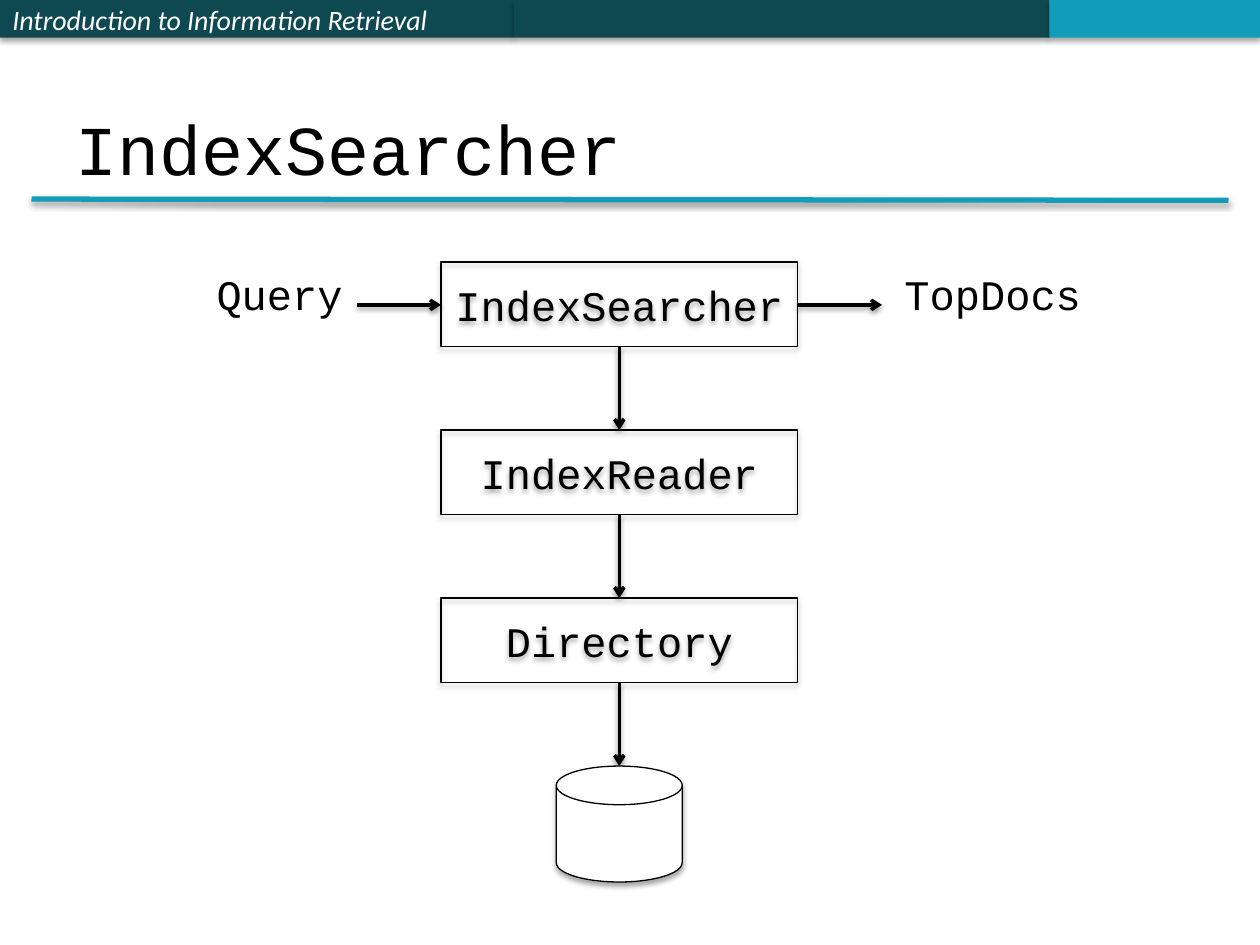
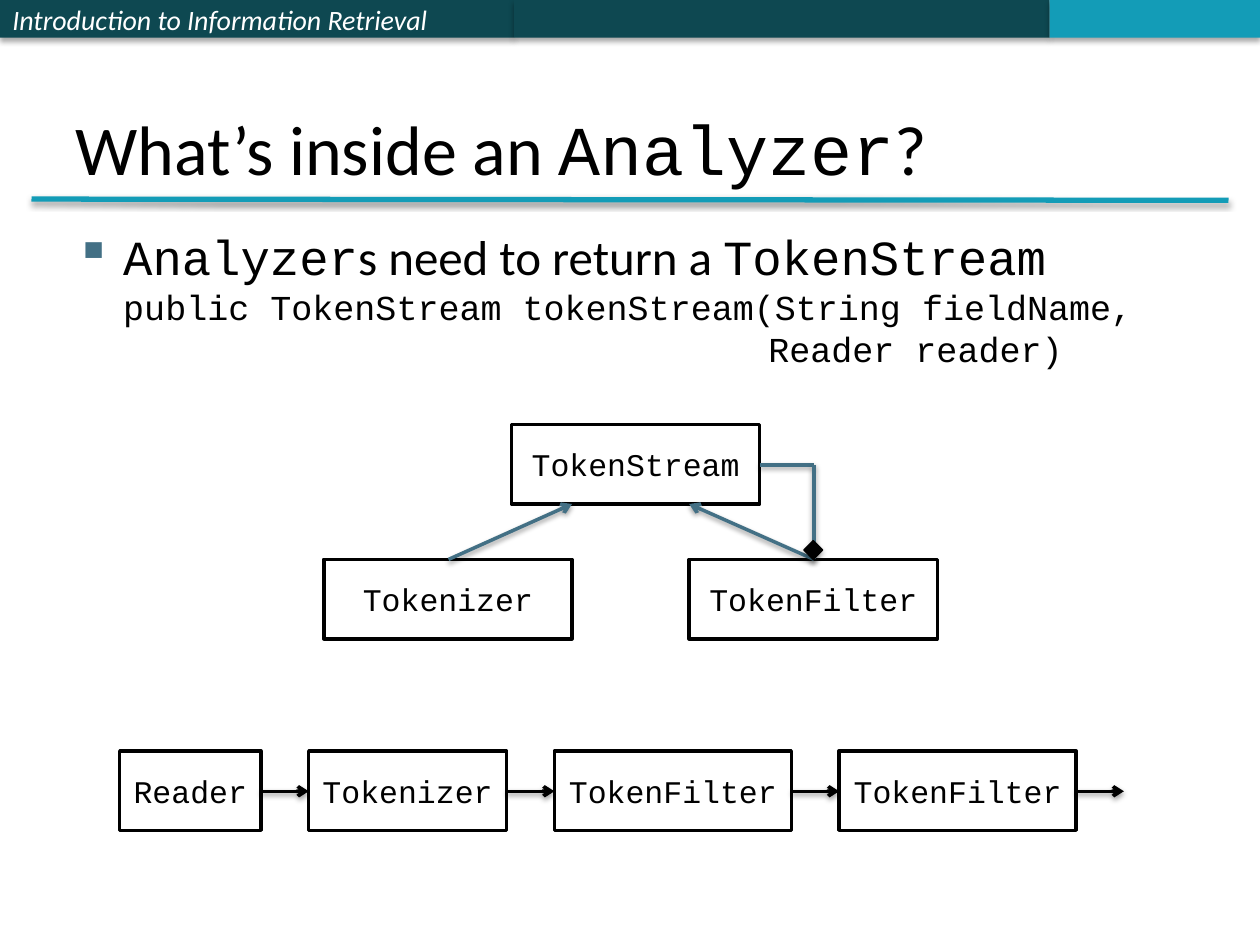
"""Build two slides on the classes behind searching and analysing an index."""
import pptx
import pptx.util
import pptx.dml.color
import pptx.enum.shapes
import pptx.enum.text
import pptx.oxml
import pptx.oxml.ns
import lxml.etree

Inches, Pt = pptx.util.Inches, pptx.util.Pt
RGB = pptx.dml.color.RGBColor
SHAPE = pptx.enum.shapes.MSO_SHAPE
ANCHOR = pptx.enum.text.MSO_ANCHOR
ALIGN = pptx.enum.text.PP_ALIGN
qn = pptx.oxml.ns.qn

BLACK, WHITE = RGB(0, 0, 0), RGB(255, 255, 255)
DARK, TEAL, SLATE = RGB(0x0E, 0x48, 0x51), RGB(0x13, 0x9C, 0xB7), RGB(0x43, 0x70, 0x85)
SANS, MONO = "Calibri", "Courier New"

COURSE = "Introduction to Information Retrieval"
BANDS = [(0, 4.08, DARK, COURSE), (4.08, 4.25, DARK, ""), (8.33, 1.67, TEAL, "")]

SEARCH_TITLE = [("IndexSearcher", MONO)]
LAYERS = ["IndexSearcher", "IndexReader", "Directory"]
LABELS = [("Query", 1.62, 1.21), ("TopDocs", 7.08, 1.62)]

ANALYZER_TITLE = [("What\u2019s inside an ", SANS), ("Analyzer", MONO), ("?", SANS)]
BODY = [
    (28, 0.38, 5.6, [("Analyzer", MONO), ("s need to return a ", SANS), ("TokenStream", MONO)]),
    (20, 0.38, 0, [("public TokenStream tokenStream(String fieldName,", MONO)]),
    (20, 5.5, 0, [("Reader reader)", MONO)]),
]
CLASSES = [("TokenStream", 4.06, 3.37), ("Tokenizer", 2.57, 4.44), ("TokenFilter", 5.47, 4.44)]
PIPELINE = [("Reader", 1.12), ("Tokenizer", 1.57), ("TokenFilter", 1.88), ("TokenFilter", 1.88)]


def add_shadow(effects, alpha, dist):
    shadow = lxml.etree.SubElement(effects, qn("a:outerShdw"), blurRad=str(Pt(3.1)),
                                   dist=str(Pt(dist)), dir="5400000", rotWithShape="0")
    color = lxml.etree.SubElement(shadow, qn("a:srgbClr"), val=str(BLACK))
    lxml.etree.SubElement(color, qn("a:alpha"), val=str(alpha * 1000))


def add_runs(p, runs, **font):
    for text, name in runs:
        r = p.add_run()
        r.text = text
        r.font.color.rgb = font.get("color", BLACK)
        values = {"name": name, "size": Pt(font["size"]), "italic": font.get("italic", False)}
        for key, value in values.items():
            setattr(r.font, key, value)


def add_shape(sp, kind, at, fill=None, line=None, width=0.75, shadow=True):
    shape = sp.add_shape(kind, *map(Inches, at))
    if fill is None:
        shape.fill.background()
    else:
        shape.fill.solid()
        shape.fill.fore_color.rgb = fill
    if line is None:
        shape.line.fill.background()
    else:
        shape.line.color.rgb = line
        shape.line.width = Pt(width)
    shape.shadow.inherit = False
    if shadow:
        add_shadow(shape._element.spPr.find(qn("a:effectLst")), 35, 1.8)
    return shape


def set_label(shape, text, font=MONO, align=ALIGN.CENTER, **style):
    tf = shape.text_frame
    tf.vertical_anchor = ANCHOR.MIDDLE
    tf.word_wrap = False
    p = tf.paragraphs[0]
    p.alignment = align
    add_runs(p, [(text, font)], **style)


def add_process(sp, text, left, top, width):
    box = add_shape(sp, SHAPE.FLOWCHART_PROCESS, (left, top, width, 0.63), WHITE, BLACK, 2, False)
    set_label(box, text, size=18)


def add_line(sp, start, end, color=BLACK, width=2, arrow=True):
    line = sp.add_connector(pptx.enum.shapes.MSO_CONNECTOR.STRAIGHT,
                            *map(Inches, start + end))
    line.line.color.rgb = color
    line.line.width = Pt(width)
    if arrow:
        lxml.etree.SubElement(line.line._get_or_add_ln(), qn("a:tailEnd"), type="arrow")
    add_shadow(lxml.etree.SubElement(line._element.spPr, qn("a:effectLst")), 38, 1.6)


def add_text(sp, at, wrap=True, anchor=ANCHOR.TOP):
    tf = sp.add_textbox(*map(Inches, at)).text_frame
    tf.word_wrap = wrap
    tf.vertical_anchor = anchor
    return tf


def add_slide(prs, title):
    s = prs.slides.add_slide(prs.slide_layouts[6])
    sp = s.shapes
    for left, width, color, text in BANDS:
        band = add_shape(sp, SHAPE.RECTANGLE, (left, 0, width, 0.3), color)
        if text:
            set_label(band, text, SANS, ALIGN.LEFT, size=16, color=WHITE, italic=True)
    add_line(sp, (0.25, 1.58), (9.75, 1.59), TEAL, 3, False)
    tf = add_text(sp, (0.5, 0.3, 9, 1.25), anchor=ANCHOR.BOTTOM)
    add_runs(tf.paragraphs[0], title, size=40)
    return sp


def build_searcher(prs):
    sp = add_slide(prs, SEARCH_TITLE)
    left, top, width, height, step = 3.5, 2.08, 2.83, 0.67, 4 / 3
    center, middle = left + width / 2, 2.42
    for i, name in enumerate(LAYERS):
        y = top + i * step
        box = add_shape(sp, SHAPE.RECTANGLE, (left, y, width, height), line=BLACK)
        set_label(box, name, size=24)
        add_line(sp, (center, y + height), (center, y + step))
    add_shape(sp, SHAPE.FLOWCHART_MAGNETIC_DISK,
              (center - 0.5, top + len(LAYERS) * step, 1, 0.92), WHITE, BLACK)
    for x in (left - height, left + width):
        add_line(sp, (x, middle), (x + height, middle))
    for text, x, w in LABELS:
        tf = add_text(sp, (x, top, w, 0.5), wrap=False)
        add_runs(tf.paragraphs[0], [(text, MONO)], size=24)


def add_body(sp):
    tf = add_text(sp, (0.5, 1.75, 9, 1.4))
    for i, (size, indent, before, runs) in enumerate(BODY):
        p = tf.add_paragraph() if i else tf.paragraphs[0]
        p.space_before = Pt(before)
        add_runs(p, runs, size=size)
        pPr = p._p.get_or_add_pPr()
        pPr.set("marL", str(Inches(indent)))
        if i == 0:
            pPr.set("indent", str(-Inches(indent)))
            color = lxml.etree.SubElement(pPr, qn("a:buClr"))
            lxml.etree.SubElement(color, qn("a:srgbClr"), val=str(SLATE))
            lxml.etree.SubElement(pPr, qn("a:buChar"), char="\u25aa")


def build_analyzer(prs):
    sp = add_slide(prs, ANALYZER_TITLE)
    add_body(sp)
    for name, x, y in CLASSES:
        add_process(sp, name, x, y, 1.97)
    add_line(sp, (3.56, 4.44), (4.54, 4), SLATE)
    add_line(sp, (6.46, 4.44), (5.47, 4), SLATE)
    add_line(sp, (6.03, 3.69), (6.46, 3.69), SLATE, arrow=False)
    add_line(sp, (6.46, 3.69), (6.46, 4.44), SLATE, arrow=False)
    add_shape(sp, SHAPE.DIAMOND, (6.38, 4.29, 0.15, 0.15), BLACK, BLACK)

    group = sp.add_group_shape().shapes
    x, top, gap = 0.95, 5.96, 0.38
    for name, width in PIPELINE:
        add_process(group, name, x, top, width)
        x += width
        add_line(group, (x, top + 0.32), (x + gap, top + 0.32))
        x += gap


prs = pptx.Presentation()
prs.slide_width, prs.slide_height = Inches(10), Inches(7.5)
build_searcher(prs)
build_analyzer(prs)
prs.save("out.pptx")
